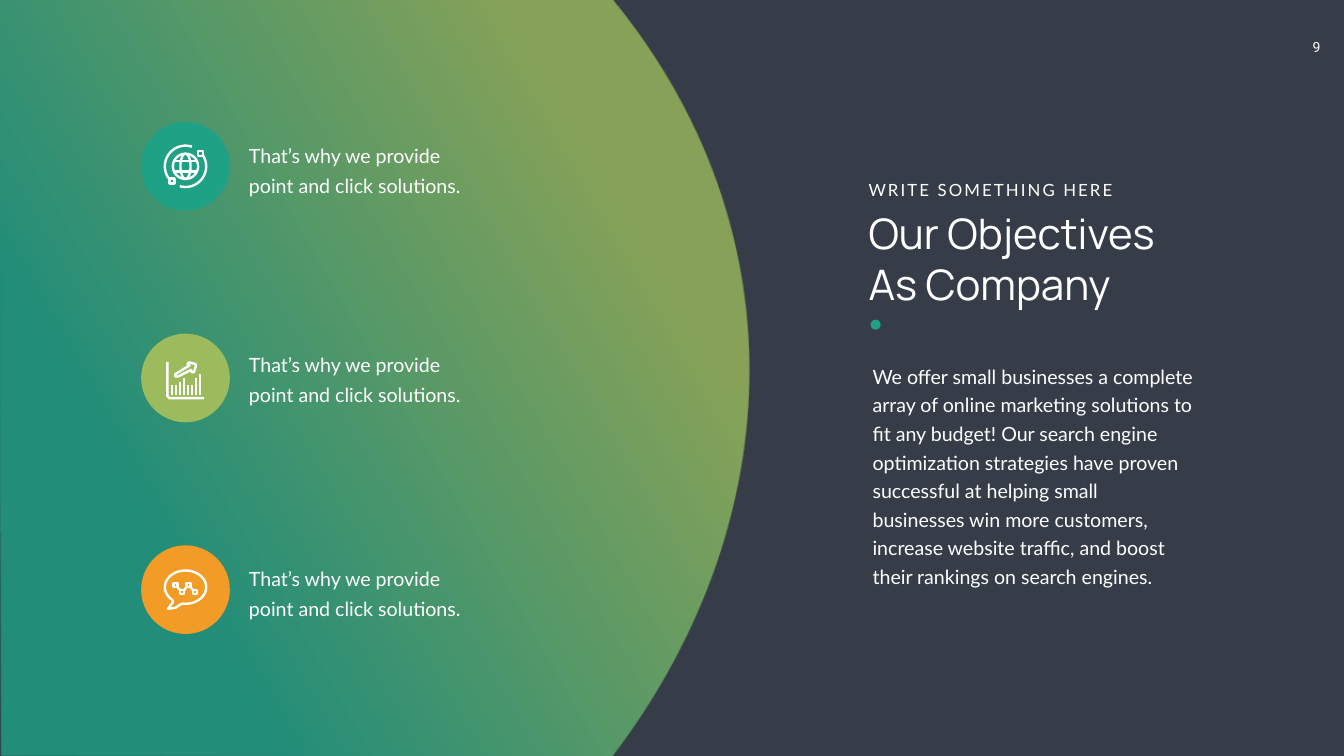
"""Build the company objectives slide."""
from math import cos, radians, sin

from lxml import etree
from pptx import Presentation
from pptx import util as u
from pptx.dml.color import RGBColor
from pptx.enum import shapes, text
from pptx.oxml.ns import qn

WHITE = RGBColor(0xFF, 0xFF, 0xFF)
NAVY = RGBColor(0x36, 0x3D, 0x48)
TEAL = RGBColor(0x1E, 0xA1, 0x85)
GREEN = RGBColor(0x9B, 0xBB, 0x5C)
ORANGE = RGBColor(0xF2, 0x9B, 0x26)

REASON = "That’s why we provide point and click solutions."
OBJECTIVES = [("globe", TEAL, 2.67), ("chart", GREEN, 6.82), ("bubble", ORANGE, 11.07)]
BADGE_LEFT, BADGE_TOP, BADGE_PITCH, BADGE_SIZE = 2.8, 2.42, 4.2, 1.76
STROKE = 3.4

TITLE = "Our Objectives As Company"
KICKER = "WRITE SOMETHING HERE"
BODY = (
    "We offer small businesses a complete array of online marketing solutions to fit any "
    "budget! Our search engine optimization strategies have proven successful at helping "
    "small businesses win more customers, increase website traffic, and boost their "
    "rankings on search engines."
)
PANEL_START = (-0.03, -0.01)
PANEL_EDGE = [(12.13, -0.02), (15.96, 4.64), (15.58, 10.51), (12.13, 15.02)]
PANEL_END = (0.03, 14.99)


def arc(rx, ry, start, end, dy=0, steps=40):
    angles = [radians(start + (end - start) * i / steps) for i in range(steps + 1)]
    return [(rx * cos(a), dy + ry * sin(a)) for a in angles]


def node(x, y, half):
    return [(x - half, y - half), (x + half, y - half), (x + half, y + half),
            (x - half, y + half)]


def bezier(a, b, c, d, steps=60):
    weights = [((1 - t) ** 3, 3 * t * (1 - t) ** 2, 3 * t * t * (1 - t), t ** 3)
               for t in (i / steps for i in range(steps + 1))]
    return [tuple(sum(w * p[k] for w, p in zip(ws, (a, b, c, d))) for k in (0, 1))
            for ws in weights]


BAR_TOPS = [0.13, 0.13, 0.07, 0.01, 0.13, 0.13, 0.01, -0.07]
BAR_LEFT, BAR_PITCH, BAR_FOOT = -0.27, 0.08, 0.34
AXES = [(-0.36, -0.32), (-0.36, 0.36), (-0.32, 0.4), (0.37, 0.4)]
ARROW = [(-0.2, -0.08), (0.08, -0.25), (0.04, -0.28), (0.07, -0.31), (0.19, -0.28),
         (0.21, -0.25), (0.17, -0.12), (0.13, -0.11), (0.11, -0.16), (-0.15, -0.03),
         (-0.2, -0.03)]
TREND = [(-0.2, -0.09), (-0.07, 0.05), (0.06, -0.09), (0.19, 0.05)]
TAIL = [(-0.25, 0.25), (-0.35, 0.38), (-0.2, 0.36)]
HALF = 0.04
LINKS = [[(x1 + HALF, y1 + (HALF if y2 > y1 else -HALF)),
          (x2 - HALF, y2 - (HALF if y2 > y1 else -HALF))]
         for (x1, y1), (x2, y2) in zip(TREND, TREND[1:])]

ICONS = {
    "globe": [
        {"closed": [arc(0.25, 0.25, 0, 351), arc(0.1, 0.25, 0, 351)],
         "open": [[(-0.21, y), (0.21, y)] for y in (-0.1, 0.1)]},
        {"closed": [node(0.3, -0.26, 0.05)], "open": [arc(0.41, 0.41, -31, 106)]},
        {"closed": [node(-0.27, 0.29, 0.05)], "open": [arc(0.41, 0.41, 145, 288)]},
    ],
    "chart": [
        {"closed": [], "open": [AXES]},
        {"closed": [ARROW], "open": []},
    ],
    "bubble": [
        {"closed": [arc(0.41, 0.33, 100, -230, dy=-0.05) + TAIL], "open": []},
        {"closed": [node(x, y, HALF) for x, y in TREND], "open": LINKS},
    ],
}


def outline(slide, closed, opened=(), cx=0, cy=0):
    contours = [(points, True) for points in closed] + [(points, False) for points in opened]
    builder = None
    for points, close in contours:
        corners = [(u.Inches(cx + x), u.Inches(cy + y)) for x, y in points]
        if builder is None:
            builder = slide.shapes.build_freeform(*corners[0], scale=1.0)
        else:
            builder.move_to(*corners[0])
        builder.add_line_segments(corners[1:], close=close)
    shape = builder.convert_to_shape()
    shape.shadow.inherit = False
    return shape


def disc(slide, left, top, size, color):
    shape = slide.shapes.add_shape(
        shapes.MSO_SHAPE.OVAL, *map(u.Inches, (left, top, size, size)))
    shape.shadow.inherit = False
    shape.fill.solid()
    shape.fill.fore_color.rgb = color
    shape.line.fill.background()


def stroke(shape):
    shape.line.color.rgb = WHITE
    shape.line.width = u.Pt(STROKE)


def draw_icon(slide, parts, cx, cy):
    for part in parts:
        shape = outline(slide, part["closed"], part["open"], cx, cy)
        shape.fill.background()
        stroke(shape)


def draw_bars(slide, cx, cy):
    for i, top in enumerate(BAR_TOPS):
        x = cx + BAR_LEFT + i * BAR_PITCH
        bar = slide.shapes.add_connector(
            shapes.MSO_CONNECTOR.STRAIGHT, *map(u.Inches, (x, cy + top, x, cy + BAR_FOOT)))
        etree.SubElement(bar._element.spPr, qn("a:effectLst"))
        stroke(bar)


def write(slide, words, box, size, font="Lato", leading=None, spacing=None):
    frame = slide.shapes.add_textbox(*map(u.Inches, box)).text_frame
    frame.word_wrap = True
    frame.auto_size = text.MSO_AUTO_SIZE.SHAPE_TO_FIT_TEXT
    paragraph = frame.paragraphs[0]
    if leading:
        paragraph.line_spacing = u.Pt(leading)
    run = paragraph.add_run()
    run.text = words
    run.font.size = u.Pt(size)
    run.font.name = font
    run.font.color.rgb = WHITE
    if spacing:
        run.font._element.set("spc", str(spacing * 100))
    return frame


def draw_panel(slide):
    panel = outline(slide, [[PANEL_START, *bezier(*PANEL_EDGE), PANEL_END]])
    panel.line.fill.background()
    panel.fill.gradient()
    panel.fill.gradient_angle = 30
    for stop, position, color in zip(panel.fill.gradient_stops, (0.24, 0.8), (TEAL, GREEN)):
        stop.position = position
        stop.color.rgb = color
    for color in panel._element.spPr.iter(qn("a:srgbClr")):
        etree.SubElement(color, qn("a:alpha"), val="80000")


def main():
    deck = Presentation()
    deck.slide_width, deck.slide_height = u.Inches(26.66), u.Inches(15)
    slide = deck.slides.add_slide(deck.slide_layouts[6])
    slide.background.fill.solid()
    slide.background.fill.fore_color.rgb = NAVY

    number = write(slide, "9", (25.69, 0.67, 1.01, 0.54), 20, "Roboto")
    number.margin_left, number.margin_right = u.Inches(0.2), u.Inches(0.36)
    number.margin_top = number.margin_bottom = u.Inches(0.1)
    number.paragraphs[0].alignment = text.PP_ALIGN.CENTER

    draw_panel(slide)
    for i, (icon, color, reason_top) in enumerate(OBJECTIVES):
        top = BADGE_TOP + i * BADGE_PITCH
        center = (BADGE_LEFT + BADGE_SIZE / 2, top + BADGE_SIZE / 2)
        disc(slide, BADGE_LEFT, top, BADGE_SIZE, color)
        draw_icon(slide, ICONS[icon], *center)
        if icon == "chart":
            draw_bars(slide, *center)
        write(slide, REASON, (4.84, reason_top, 4.6, 1.25), 28, leading=43)

    write(slide, TITLE, (17.13, 4.07, 6.73, 2.12), 60, "Manrope")
    write(slide, KICKER, (17.13, 3.52, 5.14, 0.5), 24, spacing=3)
    disc(slide, 17.27, 6.34, 0.2, TEAL)
    write(slide, BODY, (17.21, 7.09, 6.59, 4.64), 28, leading=40.8)
    deck.save("out.pptx")


if __name__ == "__main__":
    main()
